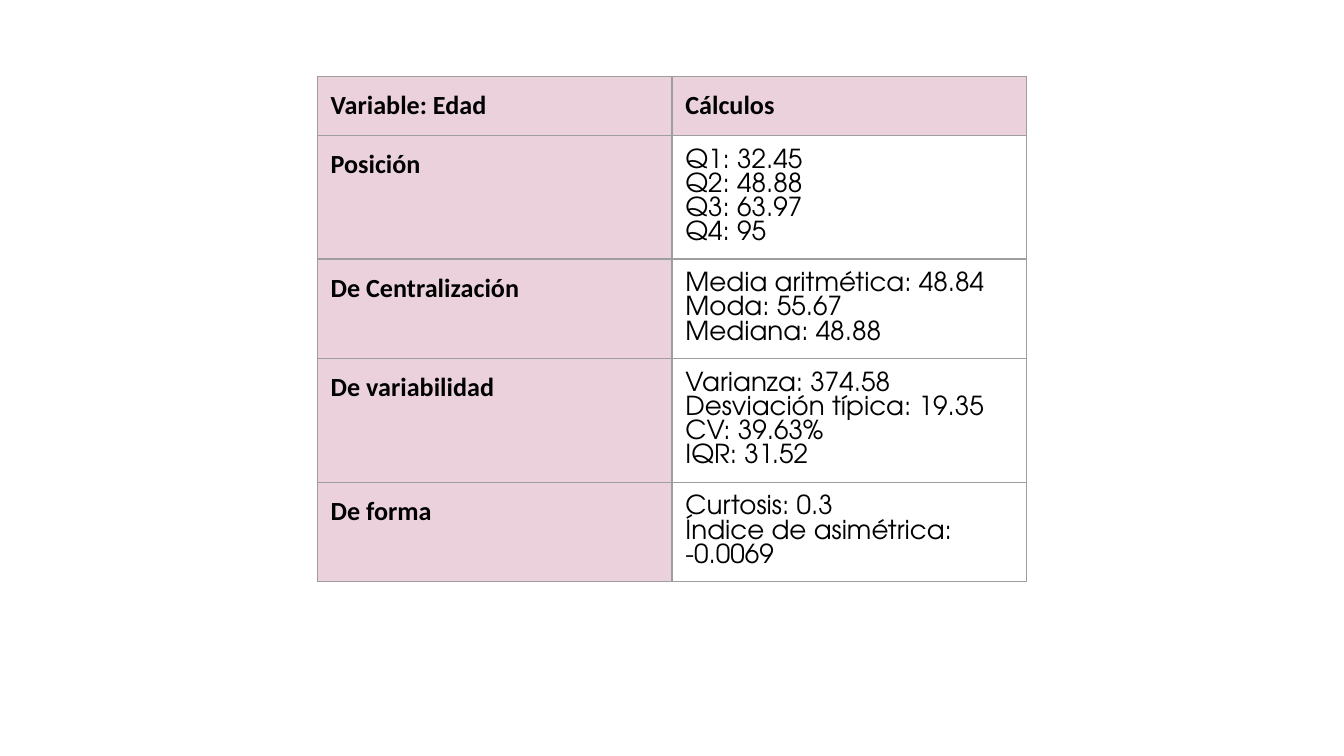
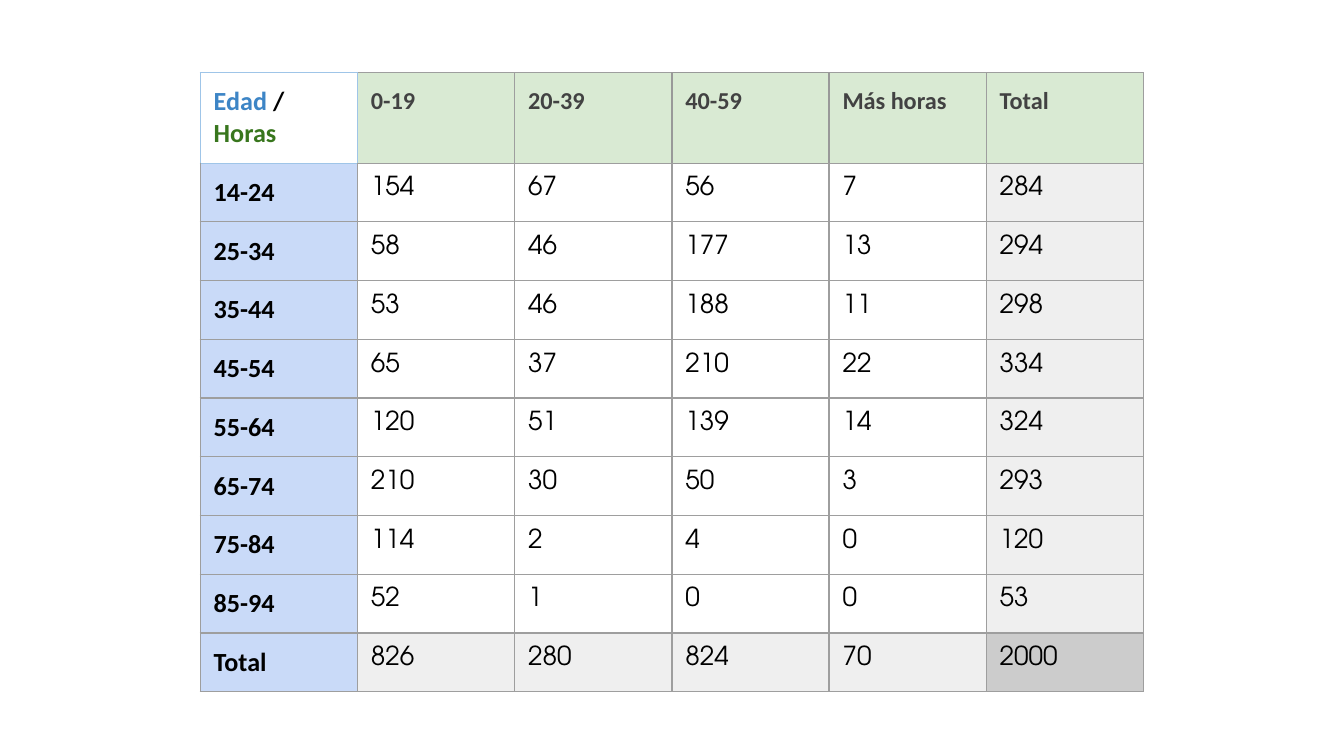
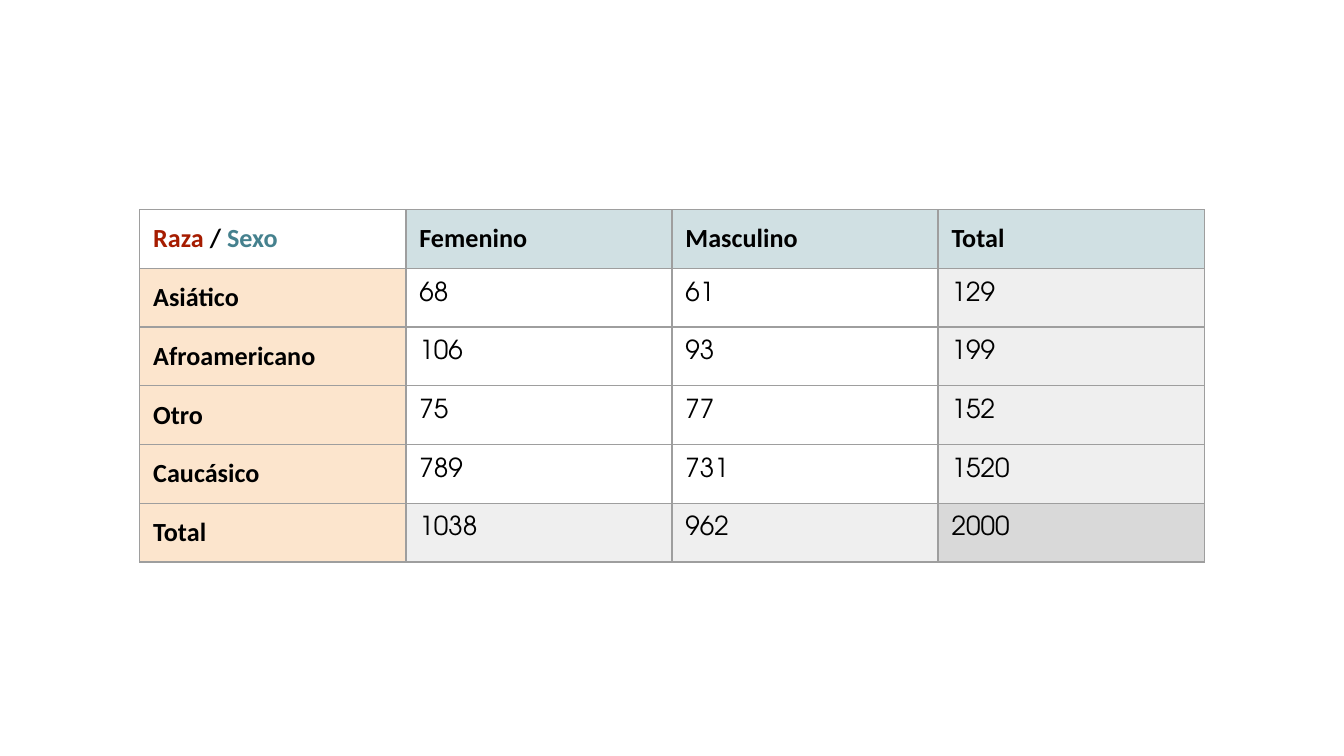
from pptx import Presentation
from pptx.dml.color import RGBColor
from pptx.oxml.ns import qn
from pptx.util import Inches, Pt
from lxml.etree import SubElement

COLORS = {
    "black": "000000", "white": "FFFFFF", "grid": "9E9E9E",
    "grid_dark": "999999", "grid_blue": "9FC5E8", "subtotal": "EFEFEF",
    "pink": "EAD1DC", "green": "D9EAD3", "blue": "C9DAF8",
    "teal": "D0E0E3", "peach": "FCE5CD", "hours_total": "CCCCCC",
    "sex_total": "D9D9D9", "header_gray": "424242", "age_text": "3D85C6",
    "hours_text": "38761D", "race_text": "A61C00", "sex_text": "45818E",
}
LABEL = {"name": "Calibri", "size": Pt(14), "bold": True}
SMALL_LABEL = {**LABEL, "size": Pt(13)}
VALUE = {"name": "TeX Gyre Adventor", "size": Pt(14), "bold": False}
SIDES = ("L", "R", "T", "B")
LINE_WIDTH = Pt(0.75)
SLIDE_WIDTH = 10

STATISTICS = [
    ("Posición", ["Q1: 32.45", "Q2: 48.88", "Q3: 63.97", "Q4: 95"]),
    ("De Centralización", ["Media aritmética: 48.84", "Moda: 55.67", "Mediana: 48.88"]),
    ("De variabilidad", ["Varianza: 374.58", "Desviación típica: 19.35",
                         "CV: 39.63%", "IQR: 31.52"]),
    ("De forma", ["Curtosis: 0.3", "Índice de asimétrica: -0.0069"]),
]
HOURS_BY_AGE = {
    "14-24": [154, 67, 56, 7],
    "25-34": [58, 46, 177, 13],
    "35-44": [53, 46, 188, 11],
    "45-54": [65, 37, 210, 22],
    "55-64": [120, 51, 139, 14],
    "65-74": [210, 30, 50, 3],
    "75-84": [114, 2, 4, 0],
    "85-94": [52, 1, 0, 0],
}
SEX_BY_RACE = {
    "Asiático": [68, 61],
    "Afroamericano": [106, 93],
    "Otro": [75, 77],
    "Caucásico": [789, 731],
}


def rgb(color):
    return RGBColor.from_string(COLORS[color])


def add_run(p, text, fmt, color="black"):
    r = p.add_run()
    r.text = text
    for name, value in fmt.items():
        setattr(r.font, name, value)
    r.font.color.rgb = rgb(color)


def add_borders(cell):
    tcPr = cell._tc.get_or_add_tcPr()
    for side in SIDES:
        ln = SubElement(tcPr, qn(f"a:ln{side}"), w=str(LINE_WIDTH))
        fill = SubElement(ln, qn("a:solidFill"))
        SubElement(fill, qn("a:srgbClr"), val=COLORS["grid"])


def outline_cell(table, row, col, color):
    edges = [(row, col, side) for side in SIDES]
    edges += [(row, col - 1, "R"), (row, col + 1, "L"), (row + 1, col, "T")]
    for r, c, side in edges:
        if c >= 0:
            ln = table.cell(r, c)._tc.tcPr.find(qn(f"a:ln{side}"))
            ln.find(".//" + qn("a:srgbClr")).set("val", COLORS[color])


def add_grid(s, left, top, col_width, row_heights, cols):
    frame = s.shapes.add_table(len(row_heights), cols, Inches(left), Inches(top),
                               Inches(col_width * cols), Inches(sum(row_heights)))
    table = frame.table
    table.first_row = table.horz_banding = False
    for column in table.columns:
        column.width = Inches(col_width)
    for row, height in zip(table.rows, row_heights):
        row.height = Inches(height)
    for cell in table.iter_cells():
        for side in ("left", "right", "top", "bottom"):
            setattr(cell, f"margin_{side}", Inches(0.1))
        add_borders(cell)
        cell.fill.background()
    return table


def fill_cell(cell, lines, fmt, fill=None, color="black"):
    tf = cell.text_frame
    for i, line in enumerate(lines):
        p = tf.add_paragraph() if i else tf.paragraphs[0]
        add_run(p, line, fmt, color)
    if fill:
        cell.fill.solid()
        cell.fill.fore_color.rgb = rgb(fill)


def add_statistics(s, left, top):
    table = add_grid(s, left, top, 2.64, [0.42] * (len(STATISTICS) + 1), 2)
    for col, title in enumerate(("Variable: Edad", "Cálculos")):
        fill_cell(table.cell(0, col), [title], LABEL, "pink")
    for row, (measure, results) in enumerate(STATISTICS, 1):
        fill_cell(table.cell(row, 0), [measure], LABEL, "pink")
        fill_cell(table.cell(row, 1), results, VALUE)


def add_crosstab(s, left, top, col_width, row_heights, corner, headers, counts,
                 header_style, label_fill, total_fill):
    rows = [(label, [*values, sum(values)]) for label, values in counts.items()]
    rows.append(("Total", [sum(column) for column in zip(*(v for _, v in rows))]))
    headers = [*headers, "Total"]
    table = add_grid(s, left, top, col_width, row_heights, len(headers) + 1)
    for text, color in corner:
        add_run(table.cell(0, 0).text_frame.paragraphs[0], text, LABEL, color)
    for col, header in enumerate(headers, 1):
        fill_cell(table.cell(0, col), [header], **header_style)
    for row, (label, values) in enumerate(rows, 1):
        fill_cell(table.cell(row, 0), [label], LABEL, label_fill)
        for col, value in enumerate(values, 1):
            totals = (row == len(rows)) + (col == len(headers))
            fill = (None, "subtotal", total_fill)[totals]
            fill_cell(table.cell(row, col), [str(value)], VALUE, fill)
    return table


def add_hours(s, left, top):
    table = add_crosstab(
        s, left, top, 1.17, [0.49] + [0.33] * (len(HOURS_BY_AGE) + 1),
        [("Edad ", "age_text"), ("/ ", "black"), ("Horas", "hours_text")],
        ["0-19", "20-39", "40-59", "Más horas"], HOURS_BY_AGE,
        {"fmt": SMALL_LABEL, "fill": "green", "color": "header_gray"},
        "blue", "hours_total")
    fill_cell(table.cell(0, 0), [], LABEL, "white")
    outline_cell(table, 0, 0, "grid_blue")
    outline_cell(table, 0, 3, "grid_dark")


def add_sexes(s, left, top):
    add_crosstab(
        s, left, top, 1.98, [0.42] * (len(SEX_BY_RACE) + 2),
        [("Raza ", "race_text"), ("/ ", "black"), ("Sexo", "sex_text")],
        ["Femenino", "Masculino"], SEX_BY_RACE,
        {"fmt": LABEL, "fill": "teal"}, "peach", "sex_total")


def main():
    prs = Presentation()
    prs.slide_width = Inches(SLIDE_WIDTH)
    prs.slide_height = Inches(SLIDE_WIDTH * 9 / 16)
    for add_table, left, top in ((add_statistics, 2.36, 0.57),
                                 (add_hours, 1.49, 0.54),
                                 (add_sexes, 1.04, 1.56)):
        s = prs.slides.add_slide(prs.slide_layouts[6])
        add_table(s, left, top)
    prs.save("out.pptx")


if __name__ == "__main__":
    main()
